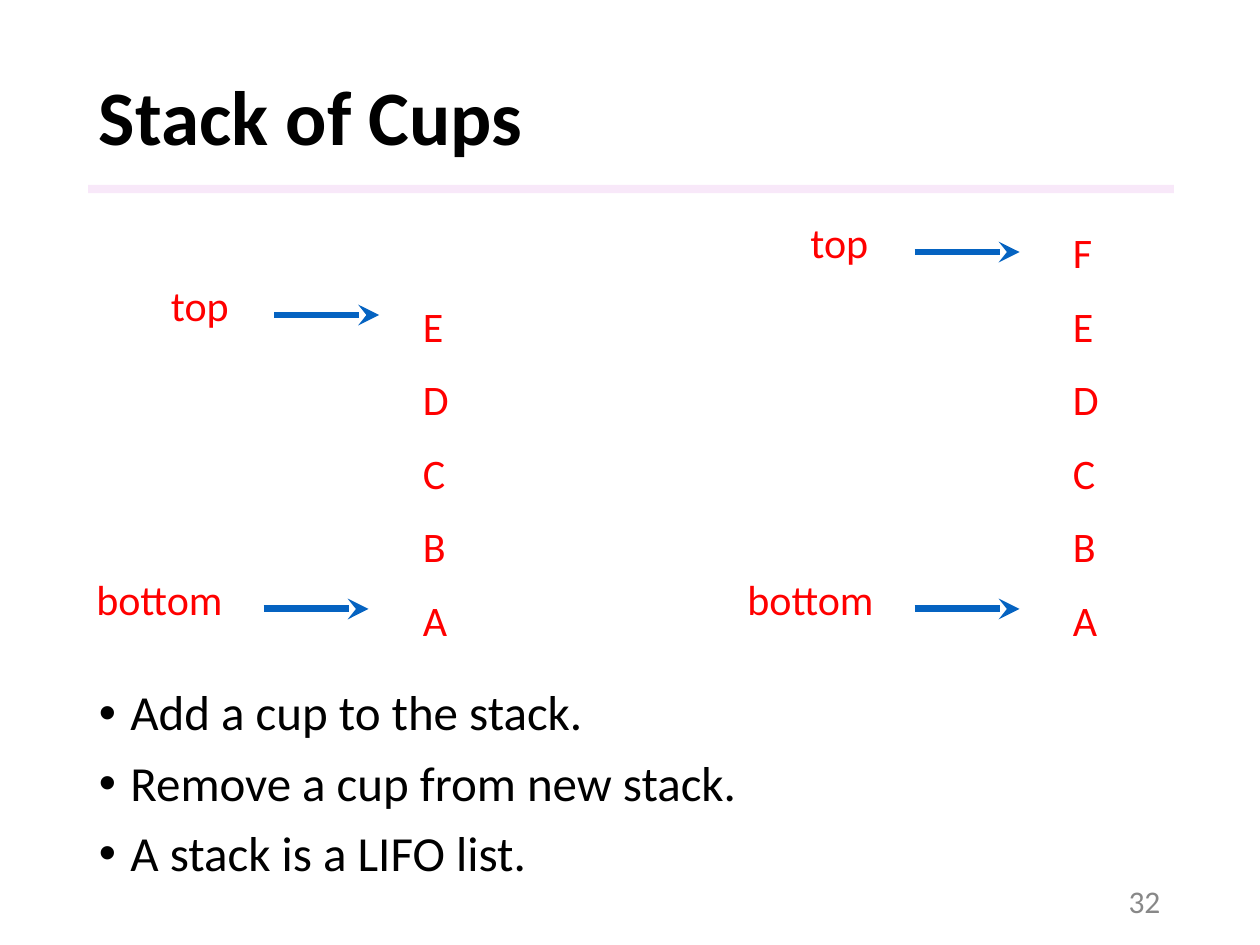
from dataclasses import dataclass

from lxml.etree import SubElement
from pptx import Presentation
from pptx.dml.color import RGBColor
from pptx.enum.shapes import MSO_CONNECTOR, MSO_SHAPE
from pptx.enum.text import MSO_ANCHOR, PP_ALIGN
from pptx.oxml.ns import qn
from pptx.util import Inches, Pt

COLUMNS, ROWS = 120, 90
SLIDE_WIDTH, SLIDE_HEIGHT = Inches(10), Inches(7.5)
FONT = "Calibri"
COLORS = {
    "text": "000000",
    "cup": "FF0000",
    "arrow": "0563C1",
    "rule": "F3D2F4",
    "number": "888888",
}
CUP_STEP = 7
BOTTOM_CUP_ROW = 56
LABEL_HEIGHT = 6.1
ARROW_LENGTH = 10
ARROW_DROP = 4
CONTENT_LEFT, CONTENT_WIDTH = 8.25, 103.4


@dataclass(frozen=True)
class Box:
    column: float
    row: float
    width: float
    height: float

    def emu(self) -> tuple[int, int, int, int]:
        return x(self.column), y(self.row), x(self.width), y(self.height)


@dataclass(frozen=True)
class Pointer:
    label: str
    column: float
    row: float
    width: float
    arrow_column: float


@dataclass(frozen=True)
class CupStack:
    cups: str
    column: float
    pointers: tuple[Pointer, ...]


STACKS = (
    CupStack("ABCDEF", 101, (
        Pointer("bottom", 70, 54, 18, 87.1),
        Pointer("top", 76, 20, 12, 87.1),
    )),
    CupStack("ABCDE", 39.1, (
        Pointer("bottom", 8, 54, 18, 25.1),
        Pointer("top", 15.1, 26, 12, 26.1),
    )),
)
POINTS = (
    "Add a cup to the stack.",
    "Remove a cup from new stack.",
    "A stack is a LIFO list.",
)


def x(columns: float) -> int:
    return round(SLIDE_WIDTH * columns / COLUMNS)


def y(rows: float) -> int:
    return round(SLIDE_HEIGHT * rows / ROWS)


def color(key: str) -> RGBColor:
    return RGBColor.from_string(COLORS[key])


def add_bullet(paragraph) -> None:
    properties = paragraph._p.get_or_add_pPr()
    properties.set("marL", str(Inches(0.25)))
    properties.set("indent", str(-Inches(0.25)))
    SubElement(properties, qn("a:buFont"), typeface="Arial")
    SubElement(properties, qn("a:buChar"), char="•")


def add_text(shapes, box: Box, *lines: str, size: float, ink: str,
             bold: bool = False, bullets: bool = False, gap: float = 0,
             spacing: float = 1.0, align=PP_ALIGN.LEFT,
             anchor=MSO_ANCHOR.TOP) -> None:
    frame = shapes.add_textbox(*box.emu()).text_frame
    frame.word_wrap = True
    frame.vertical_anchor = anchor
    for index, line in enumerate(lines):
        paragraph = frame.add_paragraph() if index else frame.paragraphs[0]
        if bullets:
            add_bullet(paragraph)
        paragraph.alignment = align
        paragraph.line_spacing = spacing
        if index:
            paragraph.space_before = Pt(gap)
        run = paragraph.add_run()
        run.text = line
        run.font.name = FONT
        run.font.size = Pt(size)
        run.font.bold = bold
        run.font.color.rgb = color(ink)


def add_arrow(shapes, column: float, row: float) -> None:
    arrow = shapes.add_connector(
        MSO_CONNECTOR.STRAIGHT, x(column), y(row), x(column + ARROW_LENGTH), y(row))
    arrow.line.color.rgb = color("arrow")
    arrow.line.width = Pt(4)
    SubElement(arrow.line._get_or_add_ln(), qn("a:tailEnd"), type="stealth")
    SubElement(arrow._element.spPr, qn("a:effectLst"))


def add_rule(shapes, box: Box) -> None:
    rule = shapes.add_shape(MSO_SHAPE.RECTANGLE, *box.emu())
    rule.shadow.inherit = False
    rule.fill.solid()
    rule.fill.fore_color.rgb = color("rule")
    rule.line.fill.background()
    tint = rule._element.spPr.find(qn("a:solidFill"))[0]
    SubElement(tint, qn("a:alpha"), val="50000")


def add_stack(shapes, stack: CupStack) -> None:
    members = shapes.add_group_shape().shapes
    for pointer in stack.pointers:
        label_box = Box(pointer.column, pointer.row, pointer.width, LABEL_HEIGHT)
        add_text(members, label_box, pointer.label, size=24, ink="cup")
        add_arrow(members, pointer.arrow_column, pointer.row + ARROW_DROP)
    for level, cup in enumerate(stack.cups):
        cup_box = Box(stack.column, BOTTOM_CUP_ROW - level * CUP_STEP, 7, LABEL_HEIGHT)
        add_text(members, cup_box, cup, size=24, ink="cup")


def main() -> None:
    deck = Presentation()
    deck.slide_width, deck.slide_height = SLIDE_WIDTH, SLIDE_HEIGHT
    shapes = deck.slides.add_slide(deck.slide_layouts[6]).shapes
    add_rule(shapes, Box(8.4, 17.6, CONTENT_WIDTH, 0.8))
    add_text(shapes, Box(CONTENT_LEFT, 4.8, CONTENT_WIDTH, 13.3), "Stack of Cups",
             size=44, ink="text", bold=True, spacing=0.9, anchor=MSO_ANCHOR.MIDDLE)
    add_text(shapes, Box(CONTENT_LEFT, 65, CONTENT_WIDTH, 19.9), *POINTS,
             size=28, ink="text", bullets=True, gap=10, spacing=0.9)
    add_text(shapes, Box(84.7, 83.4, 27, 4.8), "32", size=18, ink="number",
             align=PP_ALIGN.RIGHT, anchor=MSO_ANCHOR.MIDDLE)
    for stack in STACKS:
        add_stack(shapes, stack)
    deck.save("out.pptx")


if __name__ == "__main__":
    main()
